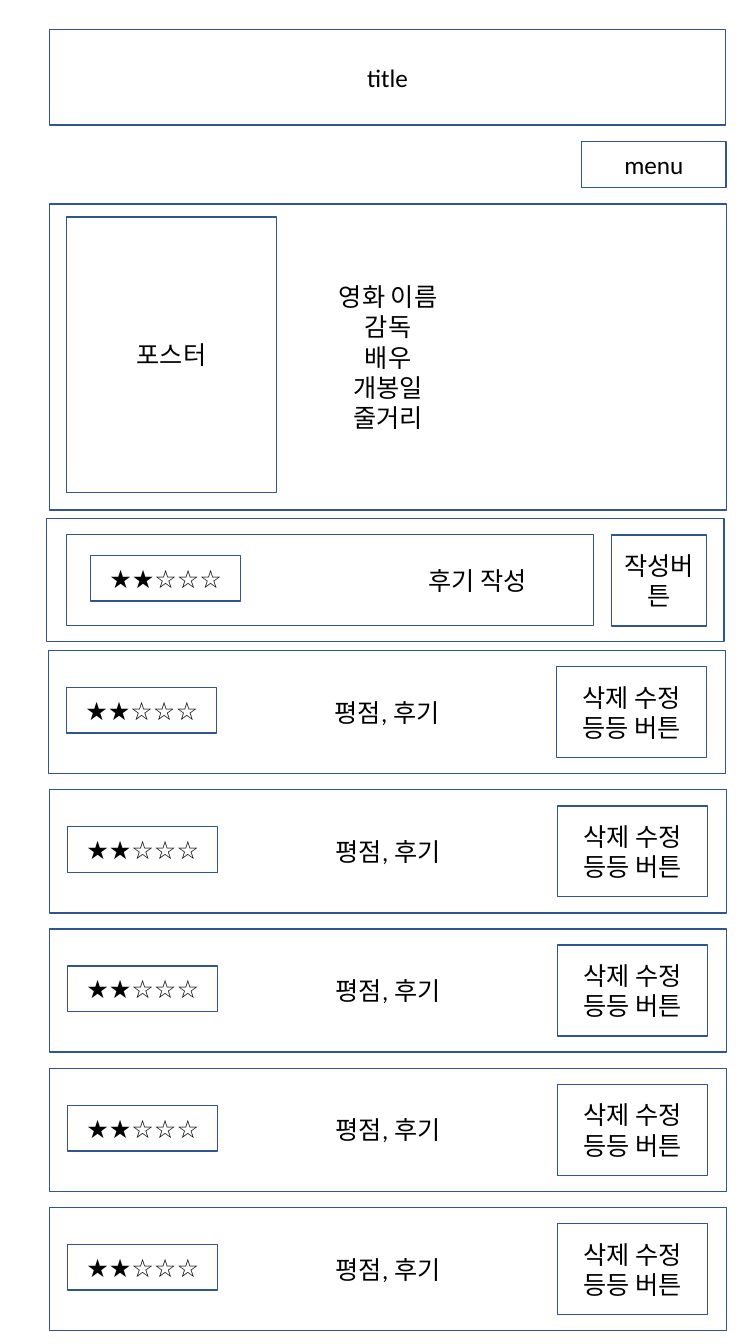
from dataclasses import dataclass

from pptx import Presentation
from pptx.dml.color import RGBColor
from pptx.enum.shapes import MSO_SHAPE
from pptx.enum.text import MSO_ANCHOR, MSO_AUTO_SIZE, PP_ALIGN
from pptx.util import Pt


@dataclass(frozen=True)
class Theme:
    font: str = "Calibri"
    size: float = 18
    text: RGBColor = RGBColor(0x00, 0x00, 0x00)
    fill: RGBColor = RGBColor(0xFF, 0xFF, 0xFF)
    border: RGBColor = RGBColor(0x32, 0x54, 0x91)
    border_width: float = 1


class Wireframe:
    REVIEW_PITCH = 99.5
    PANEL_WIDTH = 483.8
    REVIEW_HEIGHT = 88

    def __init__(self, slide, theme):
        self.slide = slide
        self.theme = theme

    def style(self, shape, text, left_inset=7.2):
        theme = self.theme
        shape.fill.solid()
        shape.fill.fore_color.rgb = theme.fill
        shape.line.color.rgb = theme.border
        shape.line.width = Pt(theme.border_width)
        frame = shape.text_frame
        frame.text = text
        frame.word_wrap = True
        frame.auto_size = MSO_AUTO_SIZE.NONE
        frame.vertical_anchor = MSO_ANCHOR.MIDDLE
        frame.margin_left = Pt(left_inset)
        for paragraph in frame.paragraphs:
            paragraph.alignment = PP_ALIGN.CENTER
            for run in paragraph.runs:
                run.font.name = theme.font
                run.font.size = Pt(theme.size)
                run.font.color.rgb = theme.text

    def title(self, left, top, width, height, text):
        heading = self.slide.shapes.title
        heading.left, heading.top = Pt(left), Pt(top)
        heading.width, heading.height = Pt(width), Pt(height)
        self.style(heading, text)

    def box(self, left, top, width, height, text="", left_inset=7.2):
        shape = self.slide.shapes.add_shape(
            MSO_SHAPE.RECTANGLE, Pt(left), Pt(top), Pt(width), Pt(height))
        shape.shadow.inherit = False
        self.style(shape, text, left_inset)

    def stars(self, left, top):
        self.box(left, top, 107.3, 32.6, "★★☆☆☆")

    def review(self, left, top):
        self.box(left, top, self.PANEL_WIDTH, self.REVIEW_HEIGHT, "평점, 후기")
        self.stars(left + 13, top + 26.4)
        self.box(left + 362.7, top + 11.5, 107.3, 65, "삭제 수정 등등 버튼")

    def review_list(self, left, top, count):
        for row in range(count):
            # The first review sits slightly left of the others
            indent = 0.7 if row else 0
            self.review(left + indent, top + row * self.REVIEW_PITCH)


def main():
    presentation = Presentation()
    presentation.slide_width, presentation.slide_height = Pt(540), Pt(960)
    slide = presentation.slides.add_slide(presentation.slide_layouts[5])
    page = Wireframe(slide, Theme())

    page.title(35.3, 20.9, 483, 68.4, "title")
    page.box(415.6, 101.2, 103, 32.6, "menu")

    page.box(35.3, 145.6, page.PANEL_WIDTH, 218.8,
             "영화 이름\n감독\n배우\n개봉일\n줄거리")
    page.box(47.5, 154.9, 150, 196.8, "포스터")

    page.box(33.3, 370.2, page.PANEL_WIDTH, page.REVIEW_HEIGHT)
    page.box(436.6, 382.2, 68, 65, "작성버튼")
    page.box(47.5, 381.8, 376.6, 65, "후기 작성", left_inset=217.2)
    page.stars(64.6, 396.7)

    page.review_list(34.6, 464.6, count=5)
    presentation.save("out.pptx")


if __name__ == "__main__":
    main()
